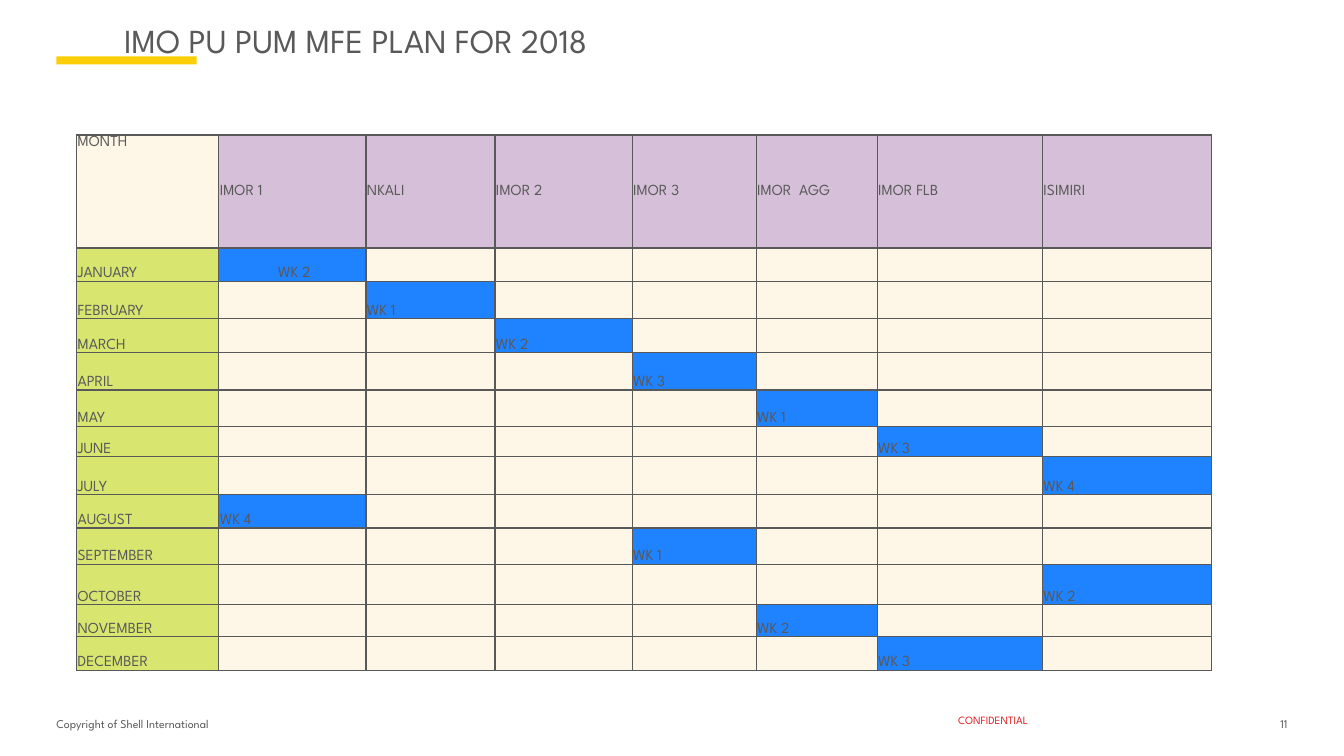
from dataclasses import dataclass

import lxml.etree
import pptx
import pptx.dml.color
import pptx.enum.shapes
import pptx.enum.text
import pptx.oxml.ns
import pptx.util

Inches = pptx.util.Inches
Align = pptx.enum.text.PP_ALIGN
Anchor = pptx.enum.text.MSO_ANCHOR

FONT = "League Spartan"
COLOURS = {
    "text": "595959",
    "accent": "FBCE07",
    "alert": "DD1D21",
    "cream": "FEF6E7",
    "site": "D6BFD8",
    "month": "D8E66F",
    "planned": "1F82FF",
}


@dataclass(frozen=True)
class FooterItem:
    text: str
    left: float
    width: float
    height: float
    size: float
    colour: str
    align: Align
    wrap: bool


@dataclass(frozen=True)
class MonthRow:
    name: str
    height: float
    site: str
    week: str
    align: Align = Align.LEFT


FOOTER_TOP = 7.07
FOOTER = [
    FooterItem("Copyright of Shell International", 0.56, 3.67, 0.26, 8.5, "text", Align.LEFT, False),
    FooterItem("CONFIDENTIAL", 9.26, 1.18, 0.19, 8, "alert", Align.CENTER, True),
    FooterItem("11", 12.38, 0.39, 0.26, 8.5, "text", Align.RIGHT, False),
]

MONTH_WIDTH = 1.41
HEADER_HEIGHT = 1.12
SITE_WIDTHS = {
    "IMOR 1": 1.46,
    "NKALI": 1.28,
    "IMOR 2": 1.36,
    "IMOR 3": 1.23,
    "IMOR  AGG": 1.2,
    "IMOR FLB": 1.64,
    "ISIMIRI": 1.68,
}
MONTHS = [
    MonthRow("JANUARY", 0.33, "IMOR 1", " WK 2", Align.CENTER),
    MonthRow("FEBRUARY", 0.37, "NKALI", "WK 1"),
    MonthRow("MARCH", 0.34, "IMOR 2", "WK 2"),
    MonthRow("APRIL", 0.37, "IMOR 3", "WK 3"),
    MonthRow("MAY", 0.36, "IMOR  AGG", "WK 1"),
    MonthRow("JUNE", 0.3, "IMOR FLB", "WK 3"),
    MonthRow("JULY", 0.38, "ISIMIRI", "WK 4"),
    MonthRow("AUGUST", 0.33, "IMOR 1", "WK 4"),
    MonthRow("SEPTEMBER", 0.36, "IMOR 3", "WK 1"),
    MonthRow("OCTOBER", 0.4, "ISIMIRI", "WK 2"),
    MonthRow("NOVEMBER", 0.32, "IMOR  AGG", "WK 2"),
    MonthRow("DECEMBER", 0.33, "IMOR FLB", "WK 3"),
]


def rgb(colour: str) -> pptx.dml.color.RGBColor:
    return pptx.dml.color.RGBColor.from_string(COLOURS[colour])


def write(frame, text: str, size: float, colour: str = "text", align: Align = Align.LEFT):
    """Put one formatted paragraph in a text frame and return it."""
    frame.text = text
    para = frame.paragraphs[0]
    para.alignment = align
    para.font.name = FONT
    para.font.size = pptx.util.Pt(size)
    para.font.color.rgb = rgb(colour)
    return para


def set_margins(holder, sides: float, top: float, bottom: float) -> None:
    holder.margin_left = holder.margin_right = Inches(sides)
    holder.margin_top = Inches(top)
    holder.margin_bottom = Inches(bottom)


def add_title(page) -> None:
    title = page.shapes.title
    title.left, title.top = Inches(0.43), Inches(0.14)
    title.width, title.height = Inches(6.28), Inches(0.56)
    frame = title.text_frame
    set_margins(frame, 0, 0, 0)
    frame.auto_size = pptx.enum.text.MSO_AUTO_SIZE.NONE
    frame.vertical_anchor = Anchor.MIDDLE
    para = write(frame, "IMO PU PUM MFE PLAN FOR 2018 ", 24, align=Align.CENTER)
    para.line_spacing = 0.9


def add_accent_bar(page) -> None:
    bar = page.shapes.add_shape(
        pptx.enum.shapes.MSO_SHAPE.RECTANGLE,
        Inches(0.56), Inches(0.56), Inches(1.39), Inches(0.08),
    )
    bar.shadow.inherit = False
    bar.fill.solid()
    bar.fill.fore_color.rgb = rgb("accent")
    bar.line.fill.background()


def add_footer_item(page, item: FooterItem) -> None:
    box = page.shapes.add_textbox(
        Inches(item.left), Inches(FOOTER_TOP), Inches(item.width), Inches(item.height)
    )
    frame = box.text_frame
    set_margins(frame, 0, 0, 0.05)
    frame.word_wrap = item.wrap
    frame.vertical_anchor = Anchor.MIDDLE
    write(frame, item.text, item.size, item.colour, item.align)


def add_borders(cell) -> None:
    properties = cell._tc.get_or_add_tcPr()
    qn = pptx.oxml.ns.qn
    for index, side in enumerate(("a:lnL", "a:lnR", "a:lnT", "a:lnB")):
        line = lxml.etree.Element(qn(side), w=str(pptx.util.Pt(1)))
        fill = lxml.etree.SubElement(line, qn("a:solidFill"))
        lxml.etree.SubElement(fill, qn("a:srgbClr"), val=COLOURS["text"])
        properties.insert(index, line)


def fill_cell(cell, text: str, colour: str, anchor: Anchor = Anchor.BOTTOM,
              align: Align = Align.LEFT) -> None:
    write(cell.text_frame, text, 11, align=align)
    set_margins(cell, 0.01, 0.01, 0)
    cell.vertical_anchor = anchor
    cell.fill.solid()
    cell.fill.fore_color.rgb = rgb(colour)
    add_borders(cell)


def add_plan(page) -> None:
    widths = [MONTH_WIDTH, *SITE_WIDTHS.values()]
    heights = [HEADER_HEIGHT, *(month.height for month in MONTHS)]
    table = page.shapes.add_table(
        len(heights), len(widths), Inches(0.76), Inches(1.34),
        Inches(sum(widths)), Inches(sum(heights)),
    ).table
    for column, width in zip(table.columns, widths):
        column.width = Inches(width)
    for row, height in zip(table.rows, heights):
        row.height = Inches(height)

    # Header row
    fill_cell(table.cell(0, 0), "MONTH", "cream", Anchor.TOP)
    for column, site in enumerate(SITE_WIDTHS, 1):
        fill_cell(table.cell(0, column), site, "site", Anchor.MIDDLE)

    # One planned week per month
    for row, month in enumerate(MONTHS, 1):
        fill_cell(table.cell(row, 0), month.name, "month")
        for column, site in enumerate(SITE_WIDTHS, 1):
            cell = table.cell(row, column)
            if site == month.site:
                fill_cell(cell, month.week, "planned", align=month.align)
            else:
                fill_cell(cell, "", "cream")


def main() -> None:
    deck = pptx.Presentation()
    deck.slide_width, deck.slide_height = Inches(13.33), Inches(7.5)
    page = deck.slides.add_slide(deck.slide_layouts.get_by_name("Title Only"))
    add_accent_bar(page)
    add_title(page)
    for item in FOOTER:
        add_footer_item(page, item)
    add_plan(page)
    deck.save("out.pptx")


if __name__ == "__main__":
    main()
